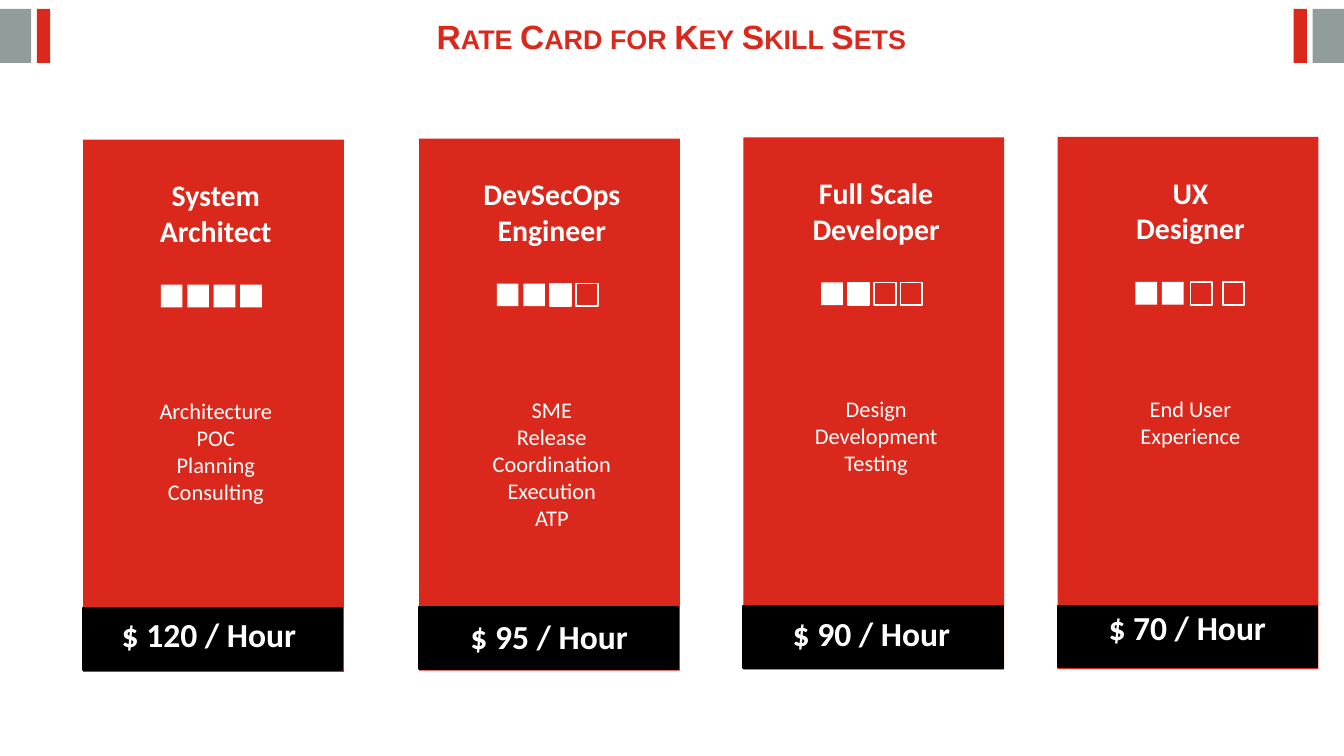
from dataclasses import dataclass

from pptx import Presentation
from pptx.dml.color import RGBColor
from pptx.enum.shapes import MSO_SHAPE
from pptx.enum.text import MSO_ANCHOR, PP_ALIGN
from pptx.util import Cm, Pt

RED = RGBColor(0xDA, 0x29, 0x1C)
GREY = RGBColor(0x91, 0x9D, 0x9D)
BLACK = RGBColor(0, 0, 0)
WHITE = RGBColor(0xFF, 0xFF, 0xFF)

SLIDE_WIDTH = 25.4
EVEN_SQUARES = (1.47, 1.97, 2.47, 2.97)
TEXT_CENTRE = 2.51  # from the left edge of a card


@dataclass
class RateCard:
    left: float
    top: float
    role: str
    role_width: float
    rating: str  # F filled, B filled with border, O open
    skills: str
    skills_size: tuple
    price: str
    price_at: tuple
    squares: tuple = EVEN_SQUARES


CARDS = [
    RateCard(1.57, 2.64, "System\nArchitect", 3.84, "FFFF",
             "Architecture\nPOC\nPlanning\nConsulting", (2.69, 2.31),
             "$ 120 / Hour", (1.98, 11.48)),
    RateCard(7.92, 2.62, "DevSecOps Engineer", 4.65, "FFBO",
             "SME\nRelease\nCoordination\nExecution\nATP", (2.95, 3.33),
             "$ 95 / Hour", (8.41, 11.51)),
    RateCard(14.05, 2.6, "Full Scale Developer", 3.84, "FBOO",
             "Design\nDevelopment\nTesting", (2.95, 2.31),
             "$ 90 / Hour", (14.5, 11.46)),
    RateCard(19.99, 2.59, "UX\nDesigner", 3.84, "FFOO",
             "End User Experience", (2.69, 1.27),
             "$ 70 / Hour", (20.47, 11.35), (1.47, 1.97, 2.51, 3.12)),
]


def add_box(slide, left, top, width, height, fill=None, line=None):
    box = slide.shapes.add_shape(
        MSO_SHAPE.RECTANGLE, Cm(left), Cm(top), Cm(width), Cm(height))
    box.shadow.inherit = False
    if fill is None:
        box.fill.background()
    else:
        box.fill.solid()
        box.fill.fore_color.rgb = fill
    if line is None:
        box.line.fill.background()
    else:
        box.line.color.rgb = line
        box.line.width = Pt(1)


def write(frame, text, size, color, name="Calibri", bold=False):
    frame.word_wrap = True
    frame.vertical_anchor = MSO_ANCHOR.TOP
    frame.text = text
    font_format = {"name": name, "size": Pt(size), "bold": bold}
    for paragraph in frame.paragraphs:
        paragraph.alignment = PP_ALIGN.CENTER
        for run in paragraph.runs:
            for attribute, value in font_format.items():
                setattr(run.font, attribute, value)
            run.font.color.rgb = color


def add_label(slide, left, top, width, height, text, size, bold=False):
    label = slide.shapes.add_textbox(Cm(left), Cm(top), Cm(width), Cm(height))
    write(label.text_frame, text, size, WHITE, bold=bold)


def add_title(slide, text):
    title = slide.shapes.title
    place = {"left": 3.1, "top": 0.18, "width": 19.18, "height": 1.02}
    for attribute, value in place.items():
        setattr(title, attribute, Cm(value))
    write(title.text_frame, text, 18, RED, name="Arial", bold=True)
    run = title.text_frame.paragraphs[0].runs[0]
    run._r.get_or_add_rPr().set("cap", "small")


def add_corner_marks(slide):
    """Mirror the grey and red bars at both ends of the title line."""
    for left, width, color in ((0, 0.59, GREY), (0.7, 0.25, RED)):
        for edge in (left, SLIDE_WIDTH - left - width):
            add_box(slide, edge, 0.17, width, 1.02, color)


def add_rating(slide, card):
    styles = {"F": (WHITE, None), "B": (WHITE, WHITE), "O": (None, WHITE)}
    for offset, mark in zip(card.squares, card.rating):
        add_box(slide, card.left + offset, card.top + 2.74, 0.41, 0.43,
                *styles[mark])


def add_card(slide, card):
    centre = card.left + TEXT_CENTRE
    skills_width, skills_height = card.skills_size
    add_box(slide, card.left, card.top, 4.93, 10.06, RED)
    add_box(slide, card.left, card.top + 8.86, 4.9, 1.17, BLACK, BLACK)
    add_label(slide, centre - card.role_width / 2, card.top + 0.58,
              card.role_width, 1.63, card.role, 16, bold=True)
    add_label(slide, centre - skills_width / 2, card.top + 4.75,
              skills_width, skills_height, card.skills, 12)
    add_rating(slide, card)
    add_label(slide, *card.price_at, 3.94, 1.02, card.price, 18, bold=True)


def main():
    presentation = Presentation()
    presentation.slide_width = Cm(SLIDE_WIDTH)
    presentation.slide_height = Cm(14.29)
    slide = presentation.slides.add_slide(presentation.slide_layouts[5])
    add_corner_marks(slide)
    add_title(slide, "Rate Card for Key Skill Sets")
    for card in CARDS:
        add_card(slide, card)
    presentation.save("out.pptx")


if __name__ == "__main__":
    main()
